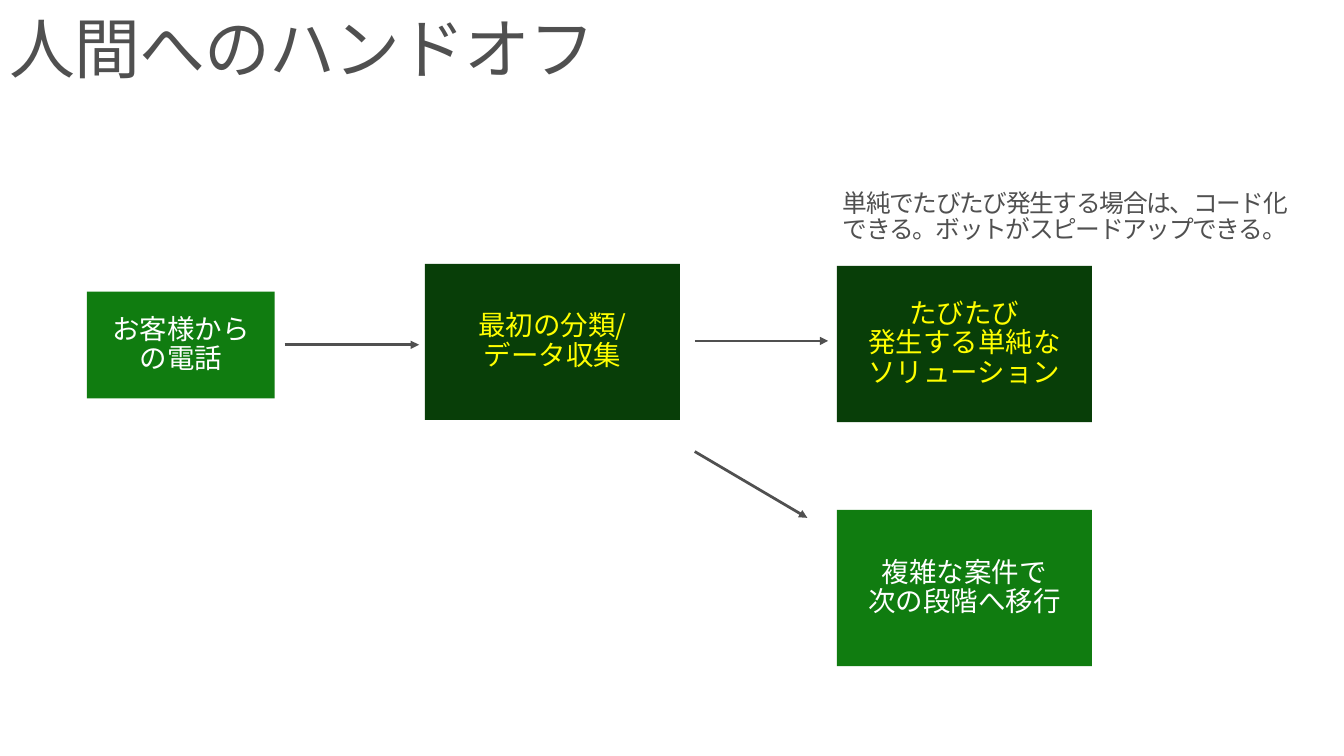
from dataclasses import dataclass
from typing import NamedTuple

from pptx import Presentation
from pptx.dml.color import RGBColor
from pptx.enum import shapes, text
from pptx.oxml import ns
from pptx.util import Pt
from lxml import etree


@dataclass(frozen=True)
class Theme:
    font: str = "Noto Sans CJK JP"
    ink: str = "505050"
    white: str = "FFFFFF"
    yellow: str = "FFFF00"
    green: str = "107C10"
    dark_green: str = "083E08"
    title_size: int = 48
    step_size: int = 20
    note_size: int = 18
    line_width: int = 2


class Box(NamedTuple):
    left: float
    top: float
    width: float
    height: float

    def lengths(self):
        return [Pt(value) for value in self]


THEME = Theme()


def write(frame, lines, size, color, align, anchor, insets, tracking=0):
    """Fill a text frame with one paragraph, broken between the given lines."""
    frame.word_wrap = True
    frame.auto_size = text.MSO_AUTO_SIZE.NONE
    frame.vertical_anchor = anchor
    frame.margin_left = frame.margin_right = Pt(insets[0])
    frame.margin_top = frame.margin_bottom = Pt(insets[1])
    para = frame.paragraphs[0]
    para.alignment = align
    para.line_spacing = 0.9
    for index, line in enumerate(lines):
        if index:
            para.add_line_break()
        span = para.add_run()
        span.text = line
        span.font.size = Pt(size)
        span.font.color.rgb = RGBColor.from_string(color)
        span.font.name = THEME.font
        span.font.language_id = None
        props = span.font._element
        props.set("lang", "ja-JP")
        if tracking:
            props.set("spc", str(round(tracking * 100)))
        east_asian = etree.Element(ns.qn("a:ea"), typeface=THEME.font)
        props.find(ns.qn("a:latin")).addnext(east_asian)


def add_title(page, box, words):
    title = page.shapes.title
    title.left, title.top, title.width, title.height = box.lengths()
    write(title.text_frame, [words], THEME.title_size, THEME.ink,
          text.PP_ALIGN.LEFT, text.MSO_ANCHOR.TOP, (7.2, 7.2), -0.7)


def add_step(page, box, lines, fill, color):
    step = page.shapes.add_shape(shapes.MSO_SHAPE.RECTANGLE, *box.lengths())
    step.shadow.inherit = False
    step.fill.solid()
    step.fill.fore_color.rgb = RGBColor.from_string(fill)
    step.line.fill.background()
    write(step.text_frame, lines, THEME.step_size, color,
          text.PP_ALIGN.CENTER, text.MSO_ANCHOR.MIDDLE, (14.4, 11.5))


def add_arrow(page, start, end):
    arrow = page.shapes.add_connector(
        shapes.MSO_CONNECTOR.STRAIGHT, *[Pt(value) for value in start + end])
    arrow.line.color.rgb = RGBColor.from_string(THEME.ink)
    arrow.line.width = Pt(THEME.line_width)
    etree.SubElement(arrow.line._get_or_add_ln(), ns.qn("a:tailEnd"), type="triangle")
    etree.SubElement(arrow._element.spPr, ns.qn("a:effectLst"))


def add_note(page, box, words):
    note = page.shapes.add_textbox(*box.lengths())
    write(note.text_frame, [words], THEME.note_size, THEME.ink,
          text.PP_ALIGN.LEFT, text.MSO_ANCHOR.TOP, (11.5, 7.2), -1)


def add_handoff_flow(page, box):
    """Place the call, its triage and the two outcomes within the box."""
    left, top = box.left, box.top
    wide, tall = 185.8, 113.8
    triage = left + 246.2
    outcome = box.left + box.width - wide
    complex_top = box.top + box.height - tall
    plain = THEME.green, THEME.white
    bot = THEME.dark_green, THEME.yellow

    add_step(page, Box(left, top + 20.2, 136.8, 77.8), ["お客様からの電話"], *plain)
    add_step(page, Box(triage, top, wide, tall), ["最初の分類/", "データ収集"], *bot)
    add_step(page, Box(outcome, top + 1.5, wide, tall),
             ["たびたび", "発生する単純なソリューション"], *bot)
    add_step(page, Box(outcome, complex_top, wide, tall),
             ["複雑な案件で", "次の段階へ移行"], *plain)

    fork = triage + wide + 10.8
    add_arrow(page, (left + 144, top + 59), (triage - 4.3, top + 59))
    add_arrow(page, (fork, top + 56.2), (outcome - 6.4, top + 56.2))
    add_arrow(page, (fork, top + 136.8), (outcome - 21.6, complex_top + 5.8))

    add_note(page, Box(outcome - 7.2, top - 60.4, 355, 123.1),
             "単純でたびたび発生する場合は、コード化できる。ボットがスピードアップできる。")


def main():
    deck = Presentation()
    deck.slide_width, deck.slide_height = Pt(979.2), Pt(550.8)
    page = deck.slides.add_slide(deck.slide_layouts.get_by_name("Title Only"))
    add_title(page, Box(0, 5, 936, 72), "人間へのハンドオフ")
    add_handoff_flow(page, Box(63.4, 192.2, 732.2, 293.1))
    deck.save("out.pptx")


if __name__ == "__main__":
    main()
